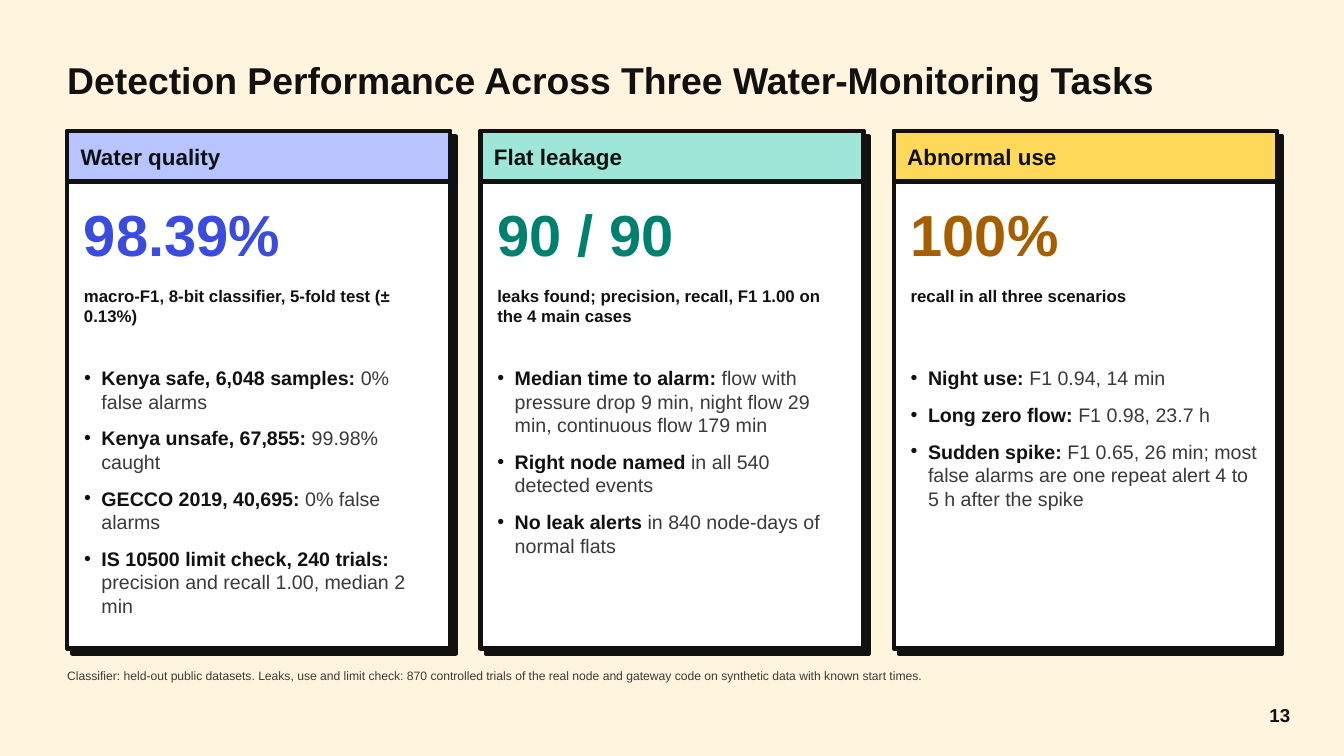
from lxml.etree import SubElement
from pptx import Presentation
from pptx.dml.color import RGBColor
from pptx.enum.shapes import MSO_SHAPE as Preset
from pptx.enum.text import MSO_ANCHOR as Anchor, MSO_AUTO_SIZE as AutoSize, PP_ALIGN as Align
from pptx.oxml.ns import qn
from pptx.util import Pt

FONT = "Arial"
COLORS = {
    "paper": "FFF4DE", "white": "FFFFFF", "ink": "111111", "gray": "3A3A3A",
    "lilac": "B8C4FF", "blue": "3A4BE0",
    "mint": "9DE6D8", "green": "00806F",
    "yellow": "FFD95A", "brown": "A65E00",
}

# Card grid, in points
MARGIN, CARD_TOP = 72, 140.4
CARD_WIDTH, CARD_HEIGHT, HEADER_HEIGHT = 410.4, 554.4, 54
CARD_PITCH = 442.8
HEADER_INSET, BODY_INSET = 14.4, 18

# Heading, header fill, accent, result, result caption, findings
TASKS = [
    ("Water quality", "lilac", "blue", "98.39%",
     "macro-F1, 8-bit classifier, 5-fold test (± 0.13%)",
     [("Kenya safe, 6,048 samples: ", "0% false alarms"),
      ("Kenya unsafe, 67,855: ", "99.98% caught"),
      ("GECCO 2019, 40,695: ", "0% false alarms"),
      ("IS 10500 limit check, 240 trials: ", "precision and recall 1.00, median 2 min")]),
    ("Flat leakage", "mint", "green", "90 / 90",
     "leaks found; precision, recall, F1 1.00 on the 4 main cases",
     [("Median time to alarm: ",
       "flow with pressure drop 9 min, night flow 29 min, continuous flow 179 min"),
      ("Right node named ", "in all 540 detected events"),
      ("No leak alerts ", "in 840 node-days of normal flats")]),
    ("Abnormal use", "yellow", "brown", "100%",
     "recall in all three scenarios",
     [("Night use: ", "F1 0.94, 14 min"),
      ("Long zero flow: ", "F1 0.98, 23.7 h"),
      ("Sudden spike: ",
       "F1 0.65, 26 min; most false alarms are one repeat alert 4 to 5 h after the spike")]),
]


def rgb(name):
    return RGBColor.from_string(COLORS[name])


def style_run(run, size, color, bold):
    run.font.name = FONT
    run.font.size = Pt(size)
    run.font.bold = bold
    run.font.color.rgb = rgb(color)


def place(shape, left, top, width, height):
    shape.left, shape.top = Pt(left), Pt(top)
    shape.width, shape.height = Pt(width), Pt(height)


def prepare_frame(shape, anchor):
    frame = shape.text_frame
    frame.margin_left = frame.margin_right = frame.margin_top = frame.margin_bottom = 0
    frame.word_wrap = True
    frame.auto_size = AutoSize.SHAPE_TO_FIT_TEXT
    frame.vertical_anchor = anchor
    return frame


def write_line(shape, text, size, color="ink", bold=True, anchor=Anchor.TOP, align=Align.LEFT):
    frame = prepare_frame(shape, anchor)
    frame.text = text
    line = frame.paragraphs[0]
    line.alignment = align
    line.space_before, line.space_after = Pt(0), Pt(4)
    style_run(line.runs[0], size, color, bold)


def add_label(slide, box, text, size, **style):
    write_line(slide.shapes.add_textbox(*map(Pt, box)), text, size, **style)


def add_panel(slide, left, height, fill):
    panel = slide.shapes.add_shape(
        Preset.RECTANGLE, Pt(left), Pt(CARD_TOP), Pt(CARD_WIDTH), Pt(height))
    panel.shadow.inherit = False
    panel.fill.solid()
    panel.fill.fore_color.rgb = rgb(fill)
    panel.line.color.rgb = rgb("ink")
    panel.line.width = Pt(4.5)
    return panel


def add_hard_shadow(panel):
    effects = panel.element.spPr.find(qn("a:effectLst"))
    shadow = SubElement(effects, qn("a:outerShdw"), blurRad="0", dist=str(Pt(8)),
                        dir=str(45 * 60000), algn="tl", rotWithShape="0")
    SubElement(shadow, qn("a:srgbClr"), val=COLORS["ink"])


def fill_findings(placeholder, findings):
    frame = prepare_frame(placeholder, Anchor.TOP)
    for number, (lead, detail) in enumerate(findings):
        finding = frame.add_paragraph() if number else frame.paragraphs[0]
        # Hanging bullet
        properties = finding._p.get_or_add_pPr()
        indent = Pt(18.72)
        properties.set("marL", str(indent))
        properties.set("indent", str(-indent))
        SubElement(properties, qn("a:buChar"), char="•")
        finding.alignment = Align.LEFT
        finding.space_before, finding.space_after = Pt(0), Pt(14)
        for text, color, bold in ((lead, "ink", True), (detail, "gray", False)):
            run = finding.add_run()
            run.text = text
            style_run(run, 21, color, bold)


def add_card(slide, left, task, findings_holder):
    heading, header_fill, accent, result, caption, findings = task
    add_hard_shadow(add_panel(slide, left, CARD_HEIGHT, "white"))
    add_panel(slide, left, HEADER_HEIGHT, header_fill)
    add_label(slide, (left + HEADER_INSET, CARD_TOP, CARD_WIDTH - 2 * HEADER_INSET, HEADER_HEIGHT),
              heading, 24, anchor=Anchor.MIDDLE)

    body_left, body_width = left + BODY_INSET, CARD_WIDTH - 2 * BODY_INSET
    add_label(slide, (body_left, 212.4, body_width, 86.4), result, 62, color=accent)
    add_label(slide, (body_left, 306, body_width, 64.8), caption, 18)

    # Bring the list in front of its card
    slide.shapes.element.append(findings_holder.element)
    place(findings_holder, body_left, 392.4, body_width, 295.2)
    fill_findings(findings_holder, findings)


def main():
    deck = Presentation()
    deck.slide_width, deck.slide_height = Pt(1440), Pt(810)
    slide = deck.slides.add_slide(deck.slide_layouts.get_by_name("Comparison"))
    slide.background.fill.solid()
    slide.background.fill.fore_color.rgb = rgb("paper")

    # Title
    title, *holders = slide.placeholders
    place(title, MARGIN, 40.32, 1296, 89.28)
    write_line(title, "Detection Performance Across Three Water-Monitoring Tasks", 40,
               anchor=Anchor.MIDDLE)

    # One card per task
    for column, (task, holder) in enumerate(zip(TASKS, holders)):
        add_card(slide, MARGIN + column * CARD_PITCH, task, holder)
    for unused in holders[len(TASKS):]:
        slide.shapes.element.remove(unused.element)

    # Footnote and page number
    add_label(slide, (MARGIN, 716.4, 1296, 43.2),
              "Classifier: held-out public datasets. Leaks, use and limit check: 870 controlled "
              "trials of the real node and gateway code on synthetic data with known start times.",
              13, color="gray", bold=False)
    add_label(slide, (1324.8, 754.56, 57.6, 29.52), "13", 20, align=Align.RIGHT)

    deck.save("out.pptx")


if __name__ == "__main__":
    main()
